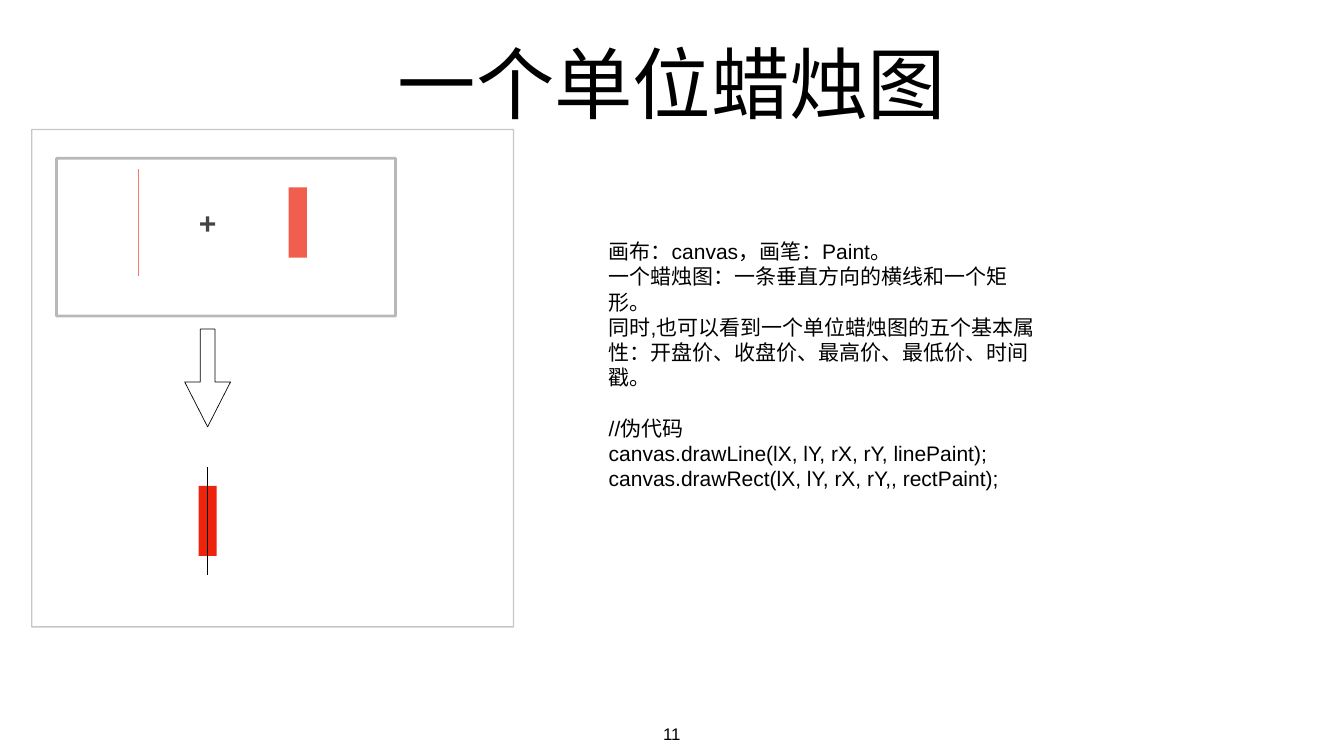
import pptx
import pptx.util
import pptx.dml.color
import pptx.enum.shapes
import pptx.enum.text
import pptx.oxml
import pptx.oxml.ns

Inches = pptx.util.Inches
Pt = pptx.util.Pt
Shape = pptx.enum.shapes.MSO_SHAPE
Align = pptx.enum.text.PP_ALIGN
Anchor = pptx.enum.text.MSO_ANCHOR

RED = "EE230C"
CANDLE_X = 4.12
WICK_HEIGHT = 2.13
BODY_WIDTH, BODY_HEIGHT = 0.36, 1.39

EXPLANATION = [
    "画布：canvas，画笔：Paint。",
    "一个蜡烛图：一条垂直方向的横线和一个矩形。",
    "同时,也可以看到一个单位蜡烛图的五个基本属性：开盘价、收盘价、最高价、最低价、时间戳。",
]
PSEUDOCODE = [
    "//伪代码",
    "canvas.drawLine(lX, lY, rX, rY, linePaint);",
    "canvas.drawRect(lX, lY, rX, rY,, rectPaint);",
]


def paint(color_format, color):
    color_format.rgb = pptx.dml.color.RGBColor.from_string(color)


def set_opacity(properties, percent):
    """Give every solid colour in the shape properties the same opacity."""
    for color in properties.iter(pptx.oxml.ns.qn("a:srgbClr")):
        alpha = color.makeelement(pptx.oxml.ns.qn("a:alpha"), {"val": str(percent * 1000)})
        color.append(alpha)


def add_shape(slide, kind, left, top, width, height, fill, line=None, line_width=1, opacity=100):
    shape = slide.shapes.add_shape(
        kind, Inches(left), Inches(top), Inches(width), Inches(height))
    shape.shadow.inherit = False
    shape.fill.solid()
    paint(shape.fill.fore_color, fill)
    if line:
        paint(shape.line.color, line)
        shape.line.width = Pt(line_width)
    else:
        shape.line.fill.background()
    if opacity < 100:
        set_opacity(shape.element.spPr, opacity)
    return shape


def add_wick(slide, x, top, color, width):
    wick = slide.shapes.add_connector(
        pptx.enum.shapes.MSO_CONNECTOR.STRAIGHT,
        Inches(x), Inches(top + WICK_HEIGHT), Inches(x), Inches(top))
    paint(wick.line.color, color)
    wick.line.width = Pt(width)
    properties = wick.element.spPr
    properties.append(properties.makeelement(pptx.oxml.ns.qn("a:effectLst"), {}))


def add_body(slide, center_x, top):
    add_shape(slide, Shape.RECTANGLE, center_x - BODY_WIDTH / 2, top,
              BODY_WIDTH, BODY_HEIGHT, RED)


def add_text(slide, lines, left, top, width, height, size, *, bold=False,
             align=Align.CENTER, anchor=Anchor.MIDDLE, wrap=False, gaps=None):
    """Add one paragraph per line; gaps maps a line index to its space before."""
    box = slide.shapes.add_textbox(Inches(left), Inches(top), Inches(width), Inches(height))
    frame = box.text_frame
    frame.word_wrap = wrap
    frame.vertical_anchor = anchor
    frame.margin_left = frame.margin_right = Inches(0.06)
    frame.margin_top = frame.margin_bottom = Inches(0.06)
    for index, line in enumerate(lines):
        paragraph = frame.paragraphs[0] if index == 0 else frame.add_paragraph()
        paragraph.alignment = align
        # Keep closing punctuation inside the margin
        paragraph._p.get_or_add_pPr().set("hangingPunct", "0")
        if gaps and index in gaps:
            paragraph.space_before = Pt(gaps[index])
        run = paragraph.add_run()
        run.text = line
        run.font.name = "Arial"
        run.font.size = Pt(size)
        run.font.bold = bold
        paint(run.font.color, "000000")


def main():
    presentation = pptx.Presentation()
    presentation.slide_width = Inches(26.67)
    presentation.slide_height = Inches(15)
    slide = presentation.slides.add_slide(presentation.slide_layouts[6])

    # Title and page number
    add_text(slide, ["一个单位蜡烛图"], 1.85, 0.37, 22.97, 2.5, 112, wrap=True)
    add_text(slide, ["11"], 13.08, 14.3, 0.5, 0.5, 24, anchor=Anchor.TOP)

    # Parts of the candle: wick plus body, inside the outer panel
    add_wick(slide, 2.75, 3.35, "FF0C00", 2)
    add_shape(slide, Shape.RECTANGLE, 0.63, 2.57, 9.56, 9.87, "FFFFFF",
              line="000000", line_width=2, opacity=22)
    add_body(slide, 5.91, 3.72)
    add_text(slide, ["+"], 3.88, 4.01, 0.48, 0.82, 43, bold=True)

    # Arrow down to the finished candle
    arrow = add_shape(slide, Shape.DOWN_ARROW, CANDLE_X - 0.455, 6.53, 0.91, 1.94,
                      "FFFFFF", line="000000")
    arrow.adjustments[0] = 0.32
    arrow.adjustments[1] = 0.98
    add_body(slide, CANDLE_X, 9.64)
    add_wick(slide, CANDLE_X, 9.27, "000000", 0.75)

    # Veil framing the two parts
    add_shape(slide, Shape.RECTANGLE, 1.12, 3.14, 6.73, 3.13, "FFFFFF",
              line="000000", line_width=4, opacity=27)

    # Explanation and pseudocode, one line apart
    add_text(slide, EXPLANATION + PSEUDOCODE, 12.02, 4.17, 8.8, 6.13, 30,
             align=Align.LEFT, wrap=True, gaps={len(EXPLANATION): 36})

    presentation.save("out.pptx")


if __name__ == "__main__":
    main()
